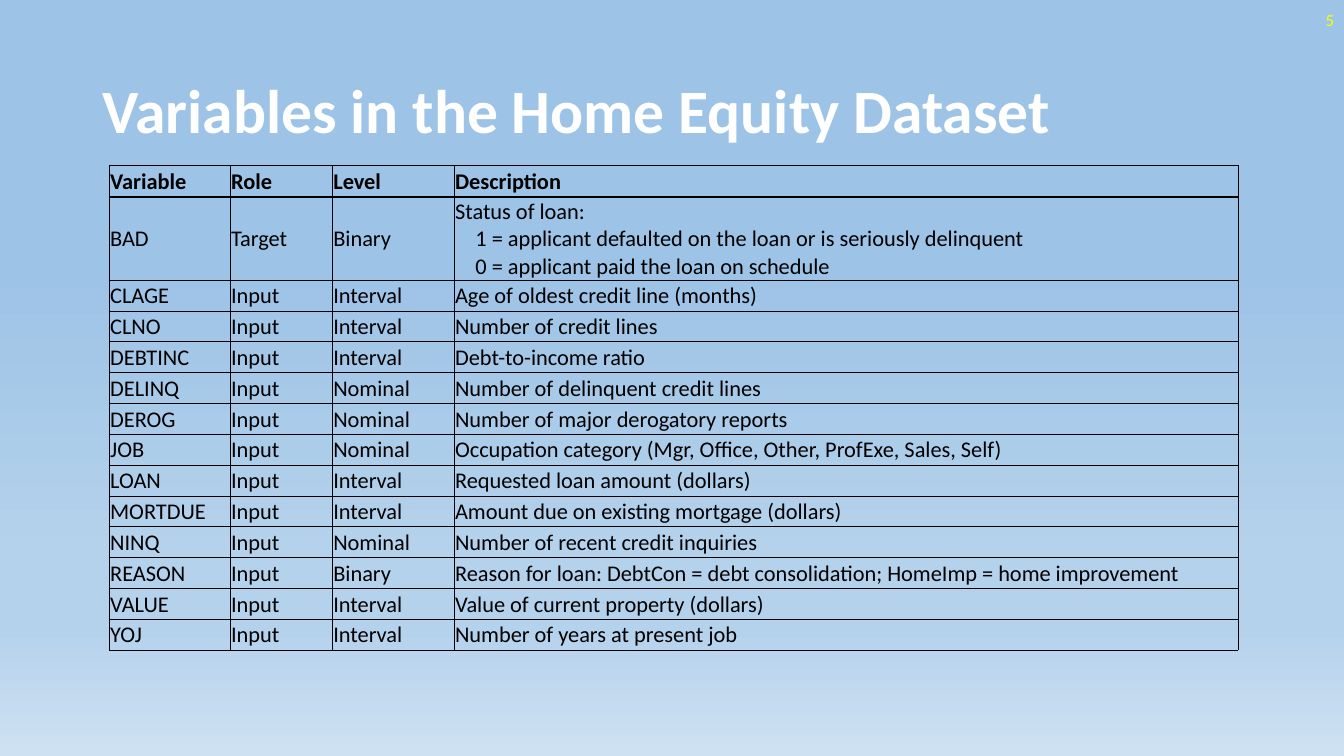
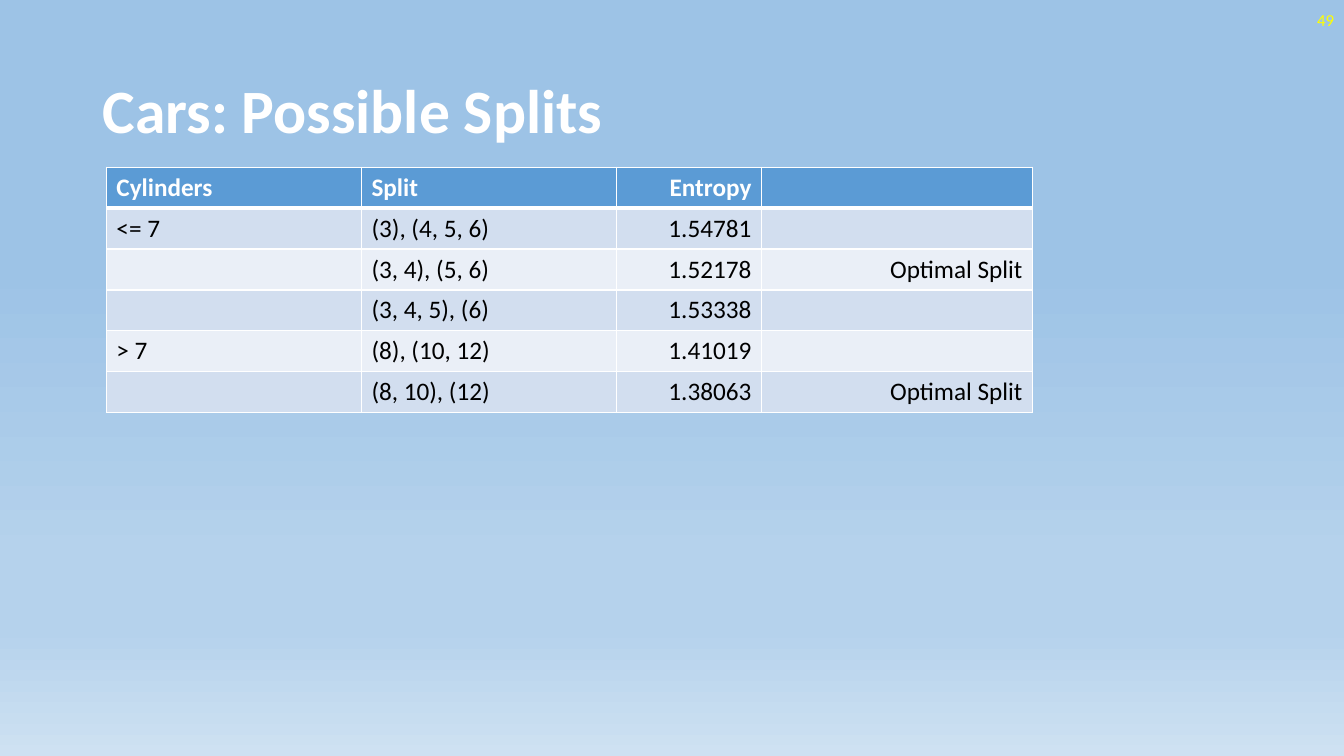
from dataclasses import dataclass
from typing import Optional

from lxml.etree import SubElement
from pptx import Presentation
from pptx.dml.color import RGBColor
from pptx.enum.text import MSO_ANCHOR as Anchor, MSO_AUTO_SIZE as AutoSize, PP_ALIGN as Align
from pptx.oxml.ns import qn
from pptx.util import Pt

# Shared look
FONT = "Calibri"
WHITE, BLACK, YELLOW = "FFFFFF", "000000", "FFFF00"
SKY = [(35, "9DC3E6"), (74, "B5D2EC"), (83, "B5D2EC"), (100, "CEE1F2")]
PAGE_BOX = (960, 540)
TITLE_BOX = (66, 28.8, 828, 104.4)
NUMBER_BOX = (744, 0, 216, 28.8)


@dataclass
class TableStyle:
    size: int
    line: str
    line_width: float
    header_rule: float
    header_color: str
    header_fill: Optional[str] = None
    bands: tuple = (None,)
    margins: tuple = (7.2, 3.6, 7.2, 3.6)
    anchor: Anchor = Anchor.TOP
    right_columns: tuple = ()


VARIABLE_STYLE = TableStyle(16, BLACK, 0.5, 2, BLACK,
                            margins=(0.7, 0.7, 0.7, 0), anchor=Anchor.MIDDLE)
SPLIT_STYLE = TableStyle(18, WHITE, 1, 3, WHITE, "5B9BD5",
                         ("D2DEEF", "EAEFF7"), right_columns=(2, 3))

# Table contents; a tuple holds a lead line and indented lines
VARIABLES = [
    ("Variable", "Role", "Level", "Description"),
    ("BAD", "Target", "Binary", (
        "Status of loan:",
        "1 = applicant defaulted on the loan or is seriously delinquent",
        "0 = applicant paid the loan on schedule")),
    ("CLAGE", "Input", "Interval", "Age of oldest credit line (months)"),
    ("CLNO", "Input", "Interval", "Number of credit lines"),
    ("DEBTINC", "Input", "Interval", "Debt-to-income ratio"),
    ("DELINQ", "Input", "Nominal", "Number of delinquent credit lines"),
    ("DEROG", "Input", "Nominal", "Number of major derogatory reports"),
    ("JOB", "Input", "Nominal",
     "Occupation category (Mgr, Office, Other, ProfExe, Sales, Self)"),
    ("LOAN", "Input", "Interval", "Requested loan amount (dollars)"),
    ("MORTDUE", "Input", "Interval", "Amount due on existing mortgage (dollars)"),
    ("NINQ", "Input", "Nominal", "Number of recent credit inquiries"),
    ("REASON", "Input", "Binary",
     "Reason for loan: DebtCon = debt consolidation; HomeImp = home improvement"),
    ("VALUE", "Input", "Interval", "Value of current property (dollars)"),
    ("YOJ", "Input", "Interval", "Number of years at present job"),
]
SPLITS = [
    ("Cylinders", "Split", "Entropy", ""),
    ("<= 7", "(3), (4, 5, 6)", "1.54781", ""),
    ("", "(3, 4), (5, 6)", "1.52178", "Optimal Split"),
    ("", "(3, 4, 5), (6)", "1.53338", ""),
    ("> 7", "(8), (10, 12)", "1.41019", ""),
    ("", "(8, 10), (12)", "1.38063", "Optimal Split"),
]


def color(value):
    return RGBColor.from_string(value)


def add_span(para, text, size, ink, bold=False):
    span = para.add_run()
    span.text = text
    font = span.font
    font.name, font.size, font.bold = FONT, Pt(size), bold
    font.color.rgb = color(ink)


def paint_background(master):
    """Give every slide the vertical sky gradient."""
    fill = master.background.fill
    fill.gradient()
    fill.gradient_angle = 270
    stops = next(master.element.iter(qn("a:gsLst")))
    for stop in list(stops):
        stops.remove(stop)
    for percent, shade in SKY:
        stop = SubElement(stops, qn("a:gs"), pos=str(percent * 1000))
        SubElement(stop, qn("a:srgbClr"), val=shade)


def add_page(deck, title, number):
    """Start a slide with its title and its number in the corner."""
    page = deck.slides.add_slide(deck.slide_layouts[5])
    heading = page.shapes.title
    heading.left, heading.top, heading.width, heading.height = map(Pt, TITLE_BOX)
    frame = heading.text_frame
    frame.auto_size, frame.vertical_anchor = AutoSize.NONE, Anchor.MIDDLE
    para = frame.paragraphs[0]
    para.alignment, para.line_spacing = Align.LEFT, 0.9
    add_span(para, title, 44, WHITE, bold=True)

    box = page.shapes.add_textbox(*map(Pt, NUMBER_BOX))
    frame = box.text_frame
    frame.word_wrap, frame.vertical_anchor = True, Anchor.MIDDLE
    para = frame.paragraphs[0]
    para.alignment = Align.RIGHT
    add_span(para, str(number), 12, YELLOW)
    return page


def set_borders(cell, ink, widths):
    """Draw the cell edges; widths are left, right, top, bottom."""
    props = cell._tc.get_or_add_tcPr()
    for side, width in zip("LRTB", widths):
        edge = SubElement(props, qn(f"a:ln{side}"), w=str(Pt(width)))
        fill = SubElement(edge, qn("a:solidFill"))
        SubElement(fill, qn("a:srgbClr"), val=ink)


def fill_cell(cell, content, style, row, column):
    header = row == 0
    # Edges first, then fill
    thin, thick = style.line_width, style.header_rule
    set_borders(cell, style.line, (thin, thin, thick if row == 1 else thin,
                                   thick if header else thin))
    shade = style.header_fill if header else style.bands[(row - 1) % len(style.bands)]
    if shade:
        cell.fill.solid()
        cell.fill.fore_color.rgb = color(shade)
    else:
        cell.fill.background()

    # Text
    cell.margin_left, cell.margin_top, cell.margin_right, cell.margin_bottom = map(
        Pt, style.margins)
    cell.vertical_anchor = style.anchor
    frame = cell.text_frame
    lines = (content,) if isinstance(content, str) else content
    for index, line in enumerate(lines):
        para = frame.add_paragraph() if index else frame.paragraphs[0]
        para.alignment = Align.RIGHT if column in style.right_columns else Align.LEFT
        para.font.size = Pt(style.size)
        if index:
            para._p.get_or_add_pPr().set("marL", str(Pt(14.5)))
        if line:
            add_span(para, line, style.size,
                     style.header_color if header else BLACK, bold=header)


def add_grid(page, left, top, widths, heights, rows, style):
    """Place a table whose size follows from its columns and rows."""
    box = map(Pt, (left, top, sum(widths), sum(heights)))
    table = page.shapes.add_table(len(rows), len(widths), *box).table
    table.horz_banding = False
    for column, width in zip(table.columns, widths):
        column.width = Pt(width)
    for r, (height, contents) in enumerate(zip(heights, rows)):
        table.rows[r].height = Pt(height)
        for c, content in enumerate(contents):
            fill_cell(table.cell(r, c), content, style, r, c)


def variables_slide(deck):
    page = add_page(deck, "Variables in the Home Equity Dataset", 5)
    heights = [22.8, 59.3] + [22.05] * (len(VARIABLES) - 2)
    add_grid(page, 78, 118, (86.4, 73, 87, 560), heights, VARIABLES, VARIABLE_STYLE)


def splits_slide(deck):
    page = add_page(deck, "Cars: Possible Splits", 49)
    heights = [29.2] * len(SPLITS)
    add_grid(page, 76, 119.5, (182.2, 182.2, 103.6, 193.6), heights, SPLITS, SPLIT_STYLE)


def main():
    deck = Presentation()
    deck.slide_width, deck.slide_height = map(Pt, PAGE_BOX)
    paint_background(deck.slide_master)
    variables_slide(deck)
    splits_slide(deck)
    deck.save("out.pptx")


if __name__ == "__main__":
    main()
